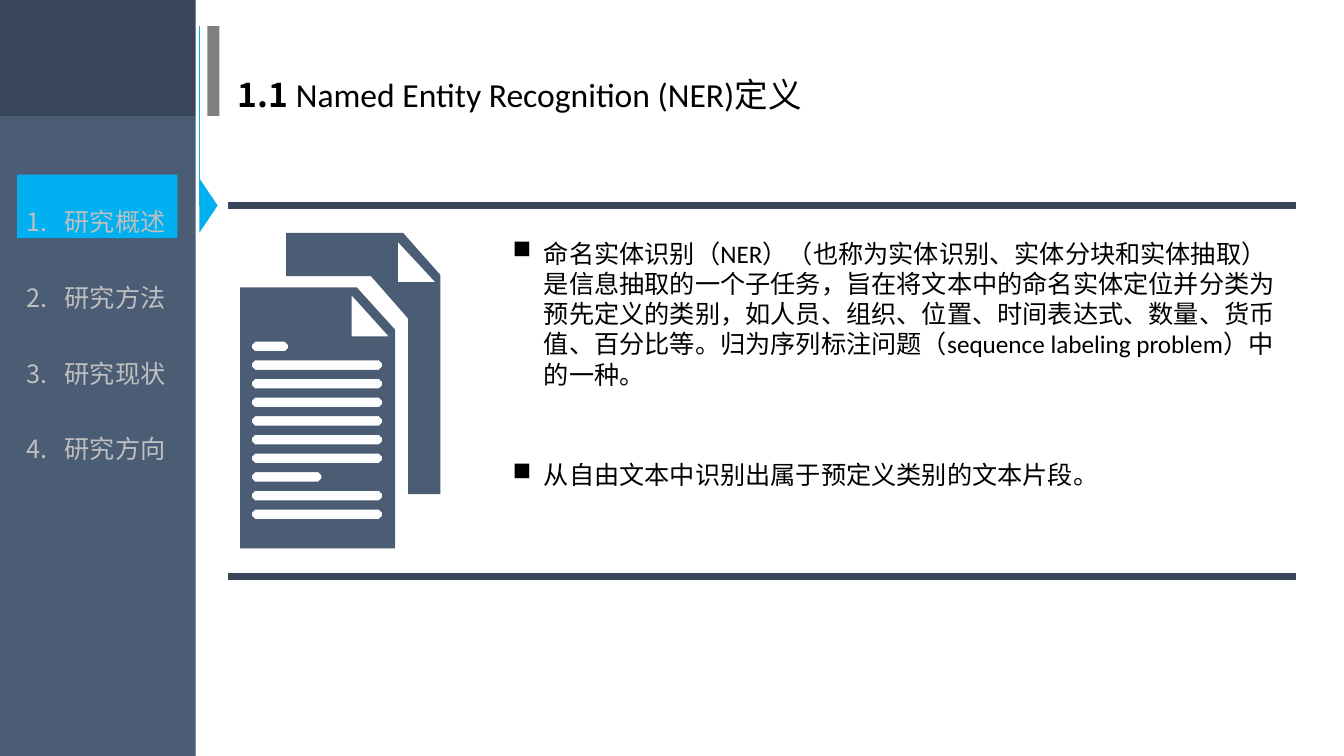
"""Build the slide that defines named entity recognition."""
import dataclasses

import lxml.etree
import pptx
import pptx.dml.color
import pptx.enum.shapes
import pptx.enum.text
import pptx.oxml.ns
import pptx.util

Cm, Pt = pptx.util.Cm, pptx.util.Pt
SHAPE = pptx.enum.shapes.MSO_SHAPE
qn = pptx.oxml.ns.qn


@dataclasses.dataclass
class Theme:
    navy: str = "394659"
    slate: str = "4B5C75"
    accent: str = "00B0F0"
    gray: str = "808080"
    muted: str = "BFBFBF"
    black: str = "000000"
    latin: str = "Calibri"
    cjk: str = "Noto Sans CJK SC"
    title: int = 24
    body: int = 18


class Deck:
    def __init__(self, prs, theme):
        self.theme = theme
        self.s = prs.slides.add_slide(prs.slide_layouts[6])

    def fill(self, sp, color):
        sp.shadow.inherit = False
        sp.fill.solid()
        sp.fill.fore_color.rgb = pptx.dml.color.RGBColor.from_string(color)
        sp.line.fill.background()

    def shape(self, kind, x, y, w, h, color, rotation=0):
        sp = self.s.shapes.add_shape(kind, Cm(x), Cm(y), Cm(w), Cm(h))
        sp.rotation = rotation
        self.fill(sp, color)

    def line(self, x1, y1, x2, y2, color, width):
        sp = self.s.shapes.add_connector(
            pptx.enum.shapes.MSO_CONNECTOR.STRAIGHT, Cm(x1), Cm(y1), Cm(x2), Cm(y2))
        sp.line.color.rgb = pptx.dml.color.RGBColor.from_string(color)
        sp.line.width = Pt(width)
        lxml.etree.SubElement(sp.element.spPr, qn("a:effectLst"))

    def outline(self, contours, color):
        contours = [[(Cm(x), Cm(y)) for x, y in c] for c in contours]
        fb = self.s.shapes.build_freeform(*contours[0][0])
        for i, c in enumerate(contours):
            if i:
                fb.move_to(*c[0])
            fb.add_line_segments(c[1:], close=True)
        self.fill(fb.convert_to_shape(), color)

    def text_box(self, x, y, w, h, wrap):
        tf = self.s.shapes.add_textbox(Cm(x), Cm(y), Cm(w), Cm(h)).text_frame
        tf.word_wrap = wrap
        tf.auto_size = pptx.enum.text.MSO_AUTO_SIZE.SHAPE_TO_FIT_TEXT
        return tf

    def run(self, p, text, size, color, font, bold=False):
        r = p.add_run()
        r.text = text
        r.font.size, r.font.name, r.font.bold = Pt(size), font, bold
        r.font.color.rgb = pptx.dml.color.RGBColor.from_string(color)
        ea = lxml.etree.SubElement(r.font._element, qn("a:ea"))
        ea.set("typeface", self.theme.cjk)

    def items(self, tf, texts, indent, bullet, color, font, spacing=1.0, gap=0):
        for i, text in enumerate(texts):
            p = tf.add_paragraph() if i else tf.paragraphs[0]
            p.line_spacing = spacing
            p.space_before = Pt(gap if i else 0)
            pPr = p._p.get_or_add_pPr()
            pPr.set("marL", str(Cm(indent)))
            pPr.set("indent", str(-Cm(indent)))
            tag, key, value = bullet
            lxml.etree.SubElement(pPr, qn(tag)).set(key, value)
            self.run(p, text, self.theme.body, color, font)


def bar(x, y, right, h=0.24, cut=0.08):
    """Return the outline of one text bar with cut corners."""
    return [(x + cut, y), (right - cut, y), (right, y + cut), (right, y + h - cut),
            (right - cut, y + h), (x + cut, y + h), (x, y + h - cut), (x, y + cut)]


def main():
    prs = pptx.Presentation()
    prs.slide_width, prs.slide_height = Cm(33.87), Cm(19.05)
    t = Theme()
    d = Deck(prs, t)

    d.shape(SHAPE.RECTANGLE, 0, 2.92, 4.93, 16.13, t.slate)
    d.shape(SHAPE.RECTANGLE, 0, 0, 4.93, 2.92, t.navy)
    d.shape(SHAPE.RECTANGLE, 0.43, 4.4, 4.04, 1.6, t.accent)
    d.shape(SHAPE.ISOSCELES_TRIANGLE, 4.57, 4.95, 1.37, 0.46, t.accent, 90)
    menu = d.text_box(0.43, 3.94, 4.04, 7.62, False)
    d.items(menu, ["研究概述", "研究方法", "研究现状", "研究方向"], 0.95,
            ("a:buAutoNum", "type", "arabicPeriod"), t.muted, t.cjk, spacing=2.5)

    d.line(5.03, 5.18, 5.03, 0.66, t.accent, 0.5)
    d.shape(SHAPE.RECTANGLE, 5.23, 0.66, 0.3, 2.26, t.gray)
    p = d.text_box(5.74, 1.73, 15.14, 2.31, False).paragraphs[0]
    d.run(p, "1.1 ", t.title, t.black, t.cjk, True)
    d.run(p, "Named Entity Recognition (NER)定义", t.title, t.black, t.latin)
    for y in (5.18, 14.53):
        d.line(5.74, y, 32.66, y, t.navy, 4.5)

    short_bars = {0: 7.26, 7: 8.1}
    bars = [bar(6.35, 8.61 + 0.47 * i, short_bars.get(i, 9.63)) for i in range(10)]
    front = [(6.05, 7.24), (8.99, 7.24), (9.96, 8.31), (9.96, 13.82), (6.05, 13.82)]
    front_fold = [(8.86, 7.44), (8.86, 8.48), (9.8, 8.48)]
    back = [(7.21, 5.87), (10.16, 5.87), (11.1, 6.93), (11.1, 12.45),
            (10.29, 12.45), (10.29, 8.03), (9.35, 6.96), (7.21, 6.96)]
    back_fold = [(10.03, 6.1), (10.03, 7.11), (10.97, 7.11)]
    d.outline(bars + [front_fold, front, back_fold, back], t.slate)

    body = d.text_box(12.67, 5.87, 19.99, 7.44, True)
    d.items(body, [
        "命名实体识别（NER）（也称为实体识别、实体分块和实体抽取）是信息抽取的一个子任务，"
        "旨在将文本中的命名实体定位并分类为预先定义的类别，如人员、组织、位置、时间表达式、"
        "数量、货币值、百分比等。归为序列标注问题（sequence labeling problem）中的一种。",
        "从自由文本中识别出属于预定义类别的文本片段。",
    ], 0.79, ("a:buChar", "char", "■"), t.black, t.latin, gap=50)

    prs.save("out.pptx")


if __name__ == "__main__":
    main()
